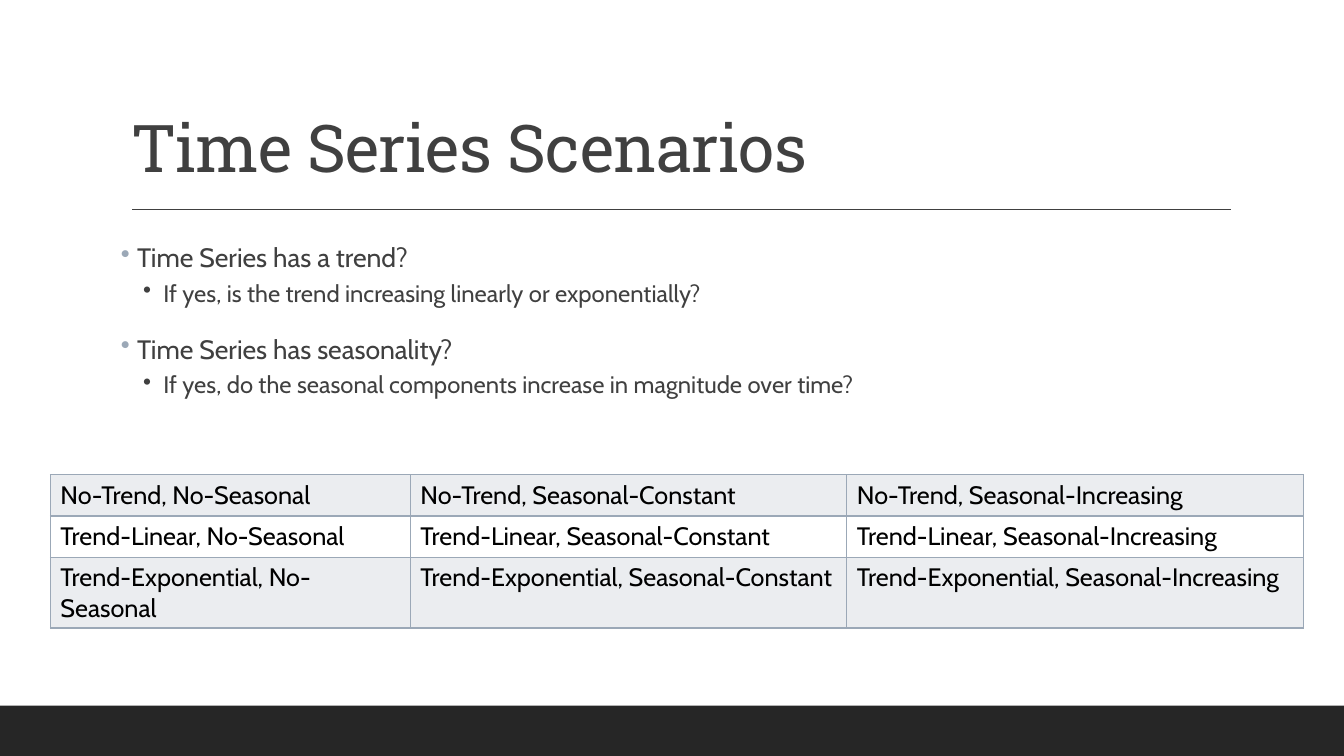
from lxml import etree
from pptx import Presentation
from pptx.dml.color import RGBColor
from pptx.enum.shapes import MSO_CONNECTOR, MSO_SHAPE
from pptx.enum.text import MSO_ANCHOR, MSO_AUTO_SIZE, PP_ALIGN
from pptx.oxml.ns import qn
from pptx.util import Inches, Pt

RECTANGLE = MSO_SHAPE.RECTANGLE
STRAIGHT = MSO_CONNECTOR.STRAIGHT
BOTTOM = MSO_ANCHOR.BOTTOM
NO_AUTOFIT = MSO_AUTO_SIZE.NONE
LEFT = PP_ALIGN.LEFT

COLORS = {"text": "404040", "footer": "262626", "accent": "9BA8B7", "cell": "000000"}
HEADING_FONT, BODY_FONT = "Roboto Slab", "Cabin"
TITLE_ONLY_LAYOUT = 5
BORDER_SIDES = ("a:lnL", "a:lnR", "a:lnT", "a:lnB")

QUESTION = {
    "size": 19, "margin": 0.16, "hanging": 0.16, "bullet_color": "accent",
    "spacing": {"line_spacing": 1.1, "space_before": Pt(12), "space_after": Pt(2)},
}
FOLLOW_UP = {
    "size": 17, "margin": 0.42, "hanging": 0.2, "bullet_color": "text",
    "spacing": {"level": 1, "space_before": Pt(2), "space_after": Pt(4)},
}
QUESTIONS = [
    ("Time Series has a trend?", QUESTION),
    ("If yes, is the trend increasing linearly or exponentially?", FOLLOW_UP),
    ("Time Series has seasonality?", QUESTION),
    ("If yes, do the seasonal components increase in magnitude over time?", FOLLOW_UP),
]
TRENDS = ["No-Trend", "Trend-Linear", "Trend-Exponential"]
SEASONS = ["No-Seasonal", "Seasonal-Constant", "Seasonal-Increasing"]
SCENARIOS = [[f"{trend}, {season}" for season in SEASONS] for trend in TRENDS]


def rgb(name):
    return RGBColor.from_string(COLORS[name])


def set_attributes(target, values):
    for name, value in values.items():
        setattr(target, name, value)


def add_solid_fill(parent, color):
    fill = etree.SubElement(parent, qn("a:solidFill"))
    return etree.SubElement(fill, qn("a:srgbClr"), val=COLORS[color])


class SlideBuilder:
    def __init__(self, presentation):
        layout = presentation.slide_layouts[TITLE_ONLY_LAYOUT]
        self.slide = presentation.slides.add_slide(layout)
        self.shapes = self.slide.shapes

    def style_font(self, font, name, size, color):
        set_attributes(font, {"name": name, "size": Pt(size)})
        font.color.rgb = rgb(color)

    def band(self, left, top, width, height, color):
        band = self.shapes.add_shape(
            RECTANGLE, Inches(left), Inches(top), Inches(width), Inches(height))
        band.shadow.inherit = False
        band.fill.solid()
        band.fill.fore_color.rgb = rgb(color)
        band.line.fill.background()

    def rule(self, left, right, y, color):
        rule = self.shapes.add_connector(
            STRAIGHT, Inches(left), Inches(y), Inches(right), Inches(y))
        rule.line.color.rgb = rgb(color)
        rule.line.width = Pt(1)
        etree.SubElement(rule._element.spPr, qn("a:effectLst"))

    def title(self, text, left, top, width, height):
        title = self.shapes.title
        set_attributes(title, {"left": Inches(left), "top": Inches(top),
                               "width": Inches(width), "height": Inches(height)})
        frame = title.text_frame
        set_attributes(frame, {"text": text, "word_wrap": True,
                               "auto_size": NO_AUTOFIT, "vertical_anchor": BOTTOM})
        paragraph = frame.paragraphs[0]
        set_attributes(paragraph, {"alignment": LEFT, "line_spacing": 0.9})
        font = paragraph.runs[0].font
        self.style_font(font, HEADING_FONT, 47, "text")
        font._element.set("spc", "-50")

    def bullets(self, items, left, top, width, height):
        box = self.shapes.add_textbox(
            Inches(left), Inches(top), Inches(width), Inches(height))
        frame = box.text_frame
        set_attributes(frame, {"word_wrap": True, "margin_left": 0, "margin_right": 0})
        for index, (text, style) in enumerate(items):
            paragraph = frame.add_paragraph() if index else frame.paragraphs[0]
            set_attributes(paragraph, style["spacing"])
            if index == 0:
                paragraph.space_before = Pt(0)
            properties = paragraph._p.get_or_add_pPr()
            properties.set("marL", str(Inches(style["margin"])))
            properties.set("indent", str(-Inches(style["hanging"])))
            bullet_color = etree.SubElement(properties, qn("a:buClr"))
            etree.SubElement(bullet_color, qn("a:srgbClr"),
                             val=COLORS[style["bullet_color"]])
            etree.SubElement(properties, qn("a:buChar"), char="•")
            paragraph.text = text
            self.style_font(paragraph.font, BODY_FONT, style["size"], "text")
            self.style_font(paragraph.runs[0].font, BODY_FONT, style["size"], "text")

    def table(self, rows, left, top, column_widths, row_height):
        table = self.shapes.add_table(
            len(rows), len(column_widths), Inches(left), Inches(top),
            Inches(sum(column_widths)), Inches(row_height * len(rows))).table
        set_attributes(table, {"first_row": False, "horz_banding": False})
        for column, width in zip(table.columns, column_widths):
            column.width = Inches(width)
        for row_index, texts in enumerate(rows):
            table.rows[row_index].height = Inches(row_height)
            for column_index, text in enumerate(texts):
                self.cell(table.cell(row_index, column_index), text, row_index % 2 == 0)

    def cell(self, cell, text, shaded):
        cell.text = text
        self.style_font(cell.text_frame.paragraphs[0].runs[0].font, BODY_FONT, 18, "cell")
        properties = cell._tc.get_or_add_tcPr()
        for side in BORDER_SIDES:
            border = etree.SubElement(properties, qn(side), w=str(Pt(1)))
            add_solid_fill(border, "accent")
        if shaded:
            tint = add_solid_fill(properties, "accent")
            etree.SubElement(tint, qn("a:alpha"), val="20000")
        else:
            cell.fill.background()


def main():
    presentation = Presentation()
    set_attributes(presentation, {"slide_width": Inches(13.33),
                                  "slide_height": Inches(7.5)})
    builder = SlideBuilder(presentation)
    builder.band(0, 7, 13.33, 0.5, "footer")
    builder.rule(1.31, 12.21, 2.08, "text")
    builder.title("Time Series Scenarios", 1.2, 0.31, 11, 1.59)
    builder.bullets(QUESTIONS, 1.2, 2.31, 11, 1.82)
    builder.table(SCENARIOS, 0.5, 4.71, [3.57, 4.33, 4.53], 0.41)
    presentation.save("out.pptx")


if __name__ == "__main__":
    main()
